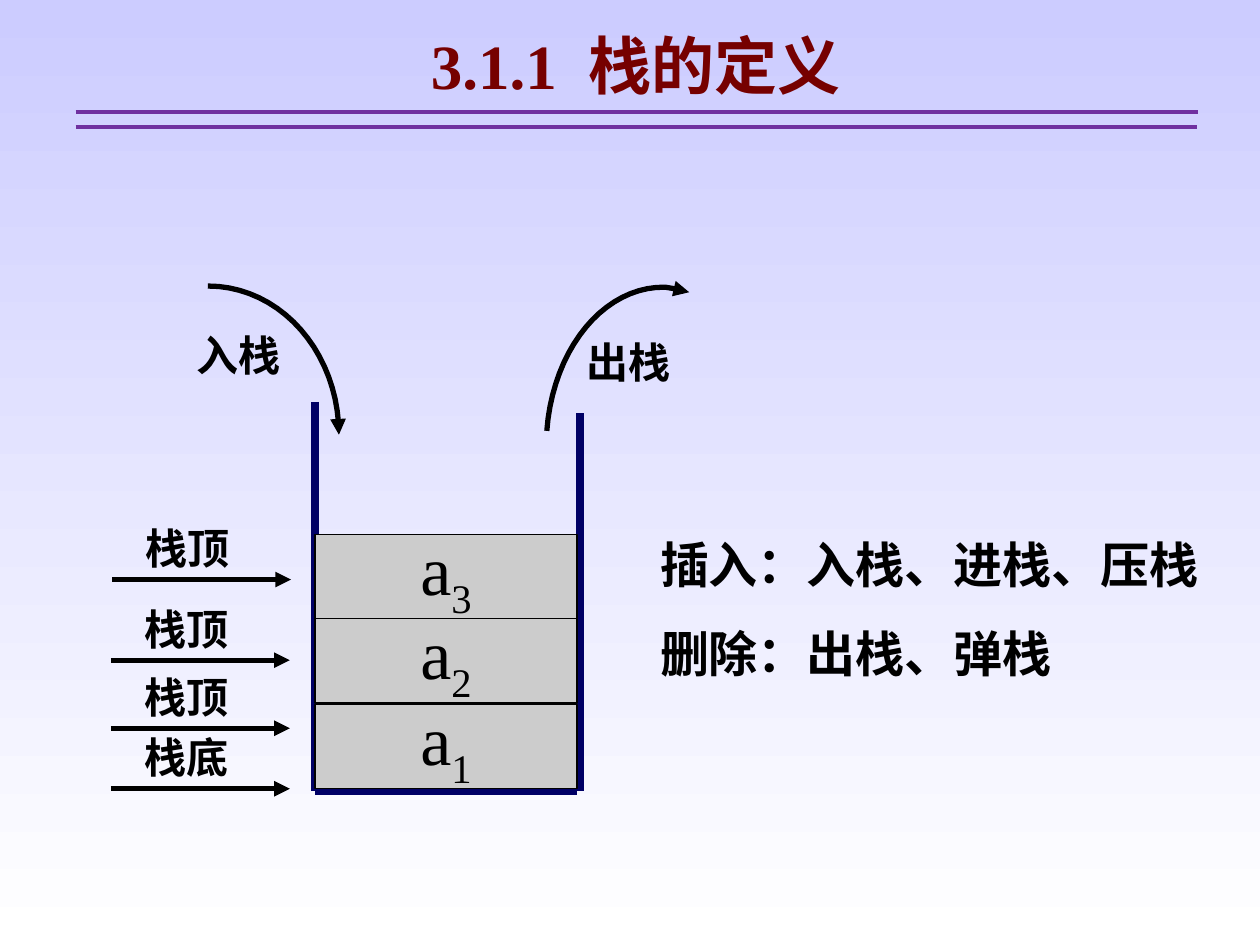
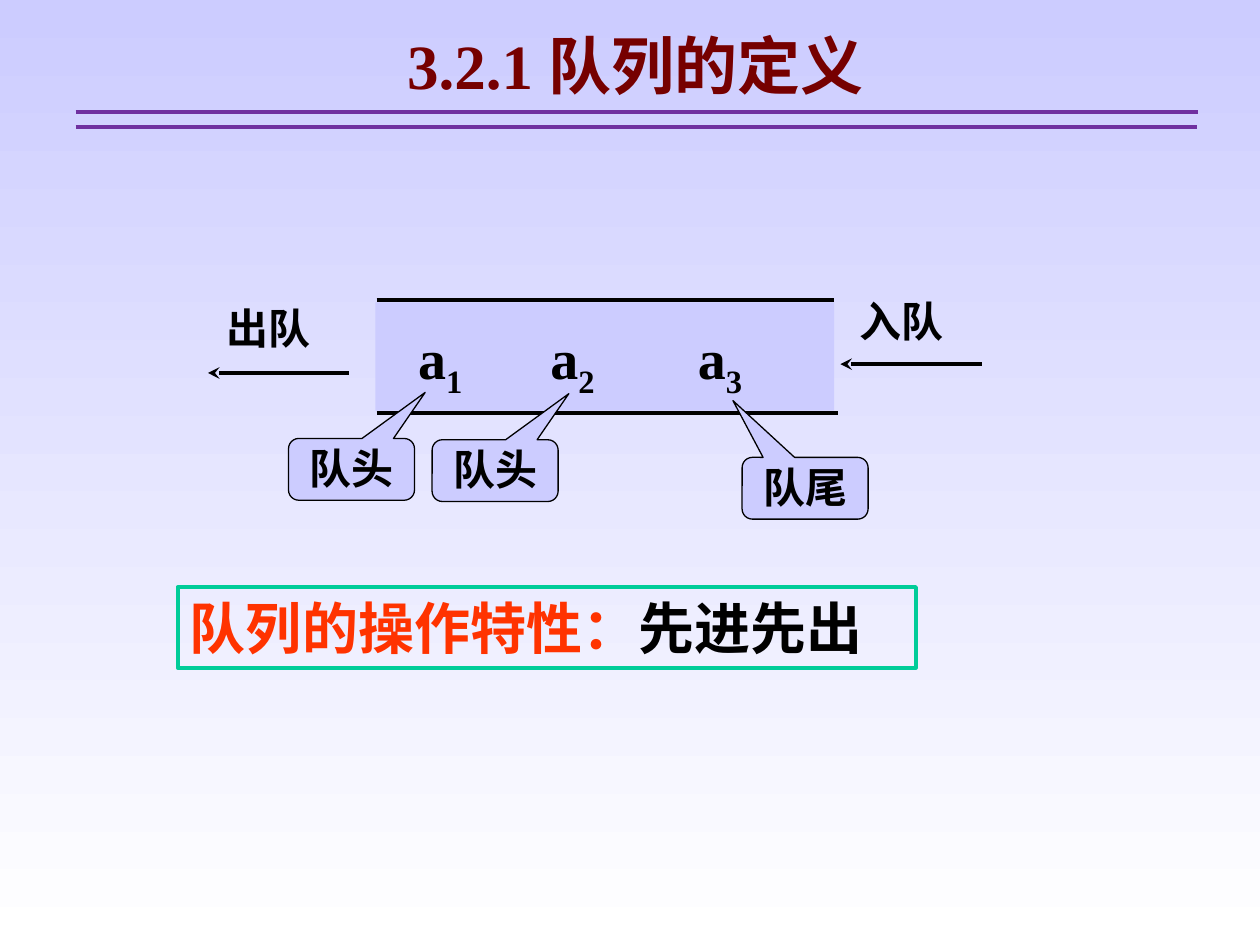
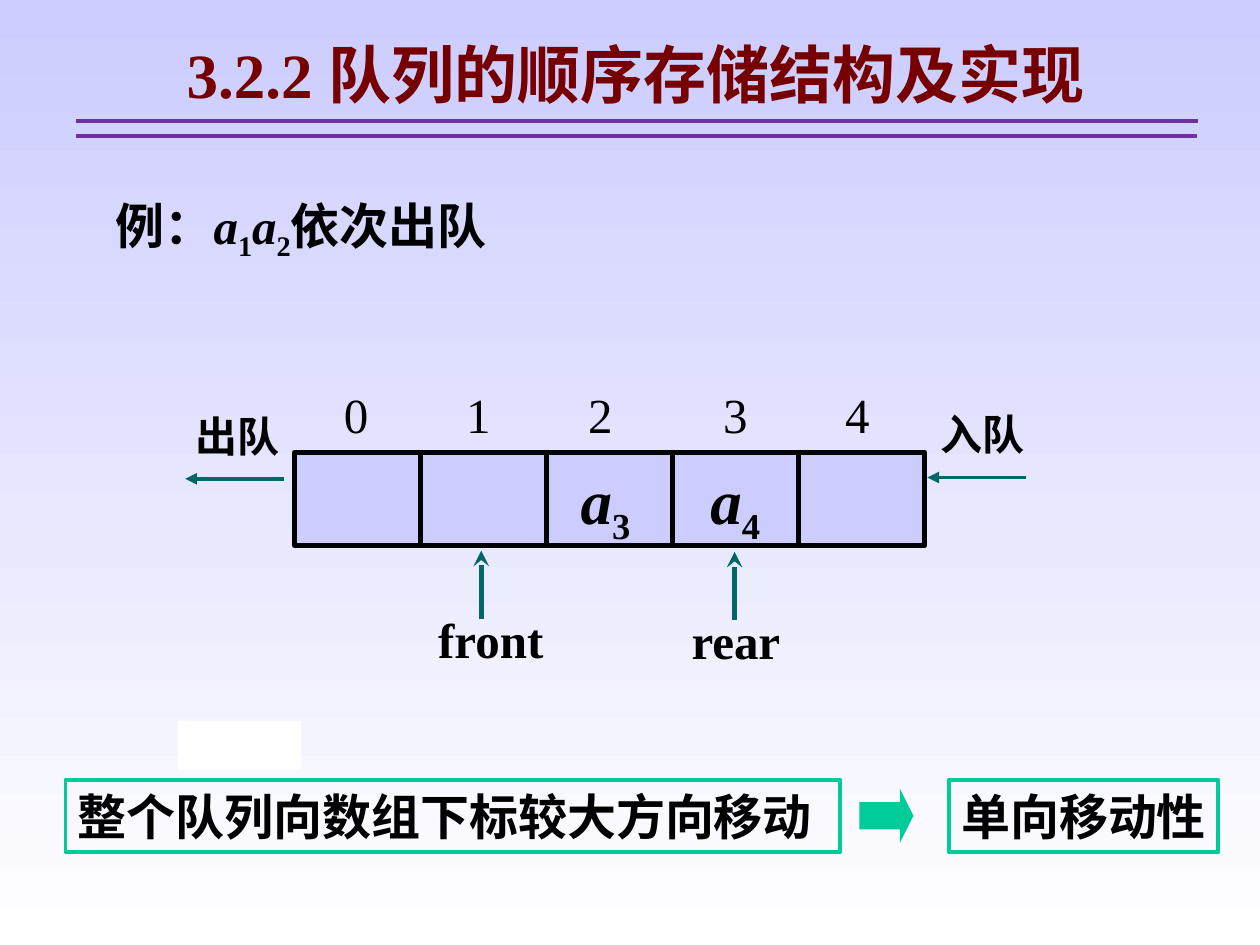
from dataclasses import dataclass, field
from typing import NamedTuple, Optional

from lxml.etree import SubElement
from pptx import Presentation
from pptx.dml.color import RGBColor as Rgb
from pptx.enum.shapes import MSO_CONNECTOR as Conn, MSO_SHAPE as Kind
from pptx.enum.text import MSO_ANCHOR as Anchor, PP_ALIGN as Align
from pptx.oxml.ns import qn
from pptx.util import Inches, Pt

HUE = {
    "sky": "CCCCFF", "white": "FFFFFF", "black": "000000", "navy": "000066",
    "gray": "CCCCCC", "wine": "760000", "plum": "7030A0", "green": "00CC99",
    "red": "FF3300", "teal": "006666",
}
SERIF = "Times New Roman"
PAD = (0.1, 0.05, 0.1, 0.05)


class Box(NamedTuple):
    left: float
    top: float
    width: float
    height: float


class Run(NamedTuple):
    text: str
    form: dict = {}
    hue: str = "black"
    attrs: dict = {}


@dataclass
class Text:
    rows: list
    size: float = 24
    bold: bool = True
    align: Align = Align.LEFT
    anchor: Anchor = Anchor.TOP
    pad: tuple = PAD
    wrap: bool = True
    gap: float = 0
    tabs: list = field(default_factory=list)


class Look(NamedTuple):
    kind: Kind = Kind.RECTANGLE
    fill: Optional[str] = None
    line: Optional[str] = None
    width: float = 0.75
    adj: tuple = ()


class Wire(NamedTuple):
    start: tuple
    end: tuple
    hue: str = "black"
    width: float = 2.25
    head: Optional[str] = None


def rgb(name: str) -> Rgb:
    return Rgb.from_string(HUE[name])


def term(index: int, italic: bool = False) -> list:
    return [Run("a", {"italic": italic}), Run(str(index), attrs={"baseline": "-25000"})]


def write(shape, text: Text) -> None:
    frame = shape.text_frame
    sides = ("margin_left", "margin_top", "margin_right", "margin_bottom")
    form = dict(zip(sides, map(Inches, text.pad)))
    form |= {"word_wrap": text.wrap, "vertical_anchor": text.anchor}
    for name, value in form.items():
        setattr(frame, name, value)
    for i, row in enumerate(text.rows):
        para = frame.add_paragraph() if i else frame.paragraphs[0]
        para.alignment = text.align
        if i:
            para.space_before = Pt(text.gap)
        if text.tabs:
            stops = SubElement(para._p.get_or_add_pPr(), qn("a:tabLst"))
            for stop in text.tabs:
                SubElement(stops, qn("a:tab"), pos=str(Inches(stop)), algn="l")
        for item in row:
            run = para.add_run()
            run.text = item.text
            form = {"name": SERIF, "size": Pt(text.size), "bold": text.bold}
            for name, value in (form | item.form).items():
                setattr(run.font, name, value)
            run.font.color.rgb = rgb(item.hue)
            for name, value in item.attrs.items():
                run._r.get_or_add_rPr().set(name, value)


def label(slide, box: Box, text: Text) -> None:
    write(slide.shapes.add_textbox(*map(Inches, box)), text)


def tag(slide, left: float, top: float, word: str) -> None:
    label(slide, Box(left, top, 1, 0.5), Text([[Run(word)]]))


def block(slide, box: Box, look: Look, text: Optional[Text] = None) -> None:
    shape = slide.shapes.add_shape(look.kind, *map(Inches, box))
    shape.shadow.inherit = False
    for i, value in enumerate(look.adj):
        shape.adjustments[i] = value
    for fill, hue in ((shape.fill, look.fill), (shape.line.fill, look.line)):
        if hue:
            fill.solid()
            fill.fore_color.rgb = rgb(hue)
        else:
            fill.background()
    if look.line:
        shape.line.width = Pt(look.width)
    if text:
        write(shape, text)


def stroke(shape, hue: str, width: float, head: Optional[str]) -> None:
    shape.line.color.rgb = rgb(hue)
    shape.line.width = Pt(width)
    if head:
        SubElement(shape._element.spPr.find(qn("a:ln")), qn("a:tailEnd"), type=head)


def draw(slide, wire: Wire) -> None:
    ends = map(Inches, wire.start + wire.end)
    link = slide.shapes.add_connector(Conn.STRAIGHT, *ends)
    stroke(link, wire.hue, wire.width, wire.head)
    SubElement(link._element.spPr, qn("a:effectLst"))


def bend(slide, knots: list, steps: int = 20) -> None:
    dots = []
    for i in range(0, len(knots) - 1, 3):
        a, b, c, d = knots[i:i + 4]
        for k in range(1, steps + 1):
            t = k / steps
            u = 1 - t
            mix = (u ** 3, 3 * u * u * t, 3 * u * t * t, t ** 3)
            dots.append(tuple(
                Inches(sum(m * p[axis] for m, p in zip(mix, (a, b, c, d))))
                for axis in (0, 1)))
    pen = slide.shapes.build_freeform(*map(Inches, knots[0]))
    pen.add_line_segments(dots, close=False)
    curve = pen.convert_to_shape()
    curve.shadow.inherit = False
    curve.fill.background()
    stroke(curve, "black", 3, "triangle")


def start(deck, title: list, top: float = 0.16):
    slide = deck.slides.add_slide(deck.slide_layouts[6])
    fill = slide.background.fill
    fill.gradient()
    fill.gradient_angle = 270
    for stop, hue, place in zip(fill.gradient_stops, ("sky", "white"), (0, 1)):
        stop.color.rgb = rgb(hue)
        stop.position = place
    label(slide, Box(0.66, top, 8.77, 0.7), Text([title], 36, align=Align.CENTER))
    for drop, right in ((0.73, 9.51), (0.85, 9.5)):
        draw(slide, Wire((0.6, top + drop), (right, top + drop), "plum"))
    return slide


def stack(deck) -> None:
    slide = start(deck, [
        Run("3.1.1", hue="wine"),
        Run(" ", hue="wine", attrs={"spc": "900"}),
        Run("栈的定义", {"name": "Noto Sans CJK SC"}, "wine"),
    ])
    walls = (((2.5, 3.19), (2.5, 6.28)), ((2.5, 6.28), (4.58, 6.28)),
             ((4.6, 3.28), (4.6, 6.28)))
    for wall in walls:
        draw(slide, Wire(*wall, "navy", 4.5))
    for i in (1, 2, 3):
        text = Text([term(i)], 40, False, Align.CENTER, Anchor.MIDDLE, (0.1, 0, 0.1, 0.05))
        block(slide, Box(2.5, 6.26 - 0.67 * i - 0.01 * (i > 1), 2.08, 0.67),
              Look(fill="gray", line="black"), text)
    bend(slide, [(1.65, 2.27), (2.23, 2.27), (2.69, 2.8), (2.69, 3.45)])
    bend(slide, [(4.34, 3.42), (4.39, 2.76), (4.8, 2.27), (5.28, 2.28),
                 (5.34, 2.29), (5.41, 2.3), (5.47, 2.32)])
    tag(slide, 1.46, 2.57, "入栈")
    tag(slide, 4.56, 2.62, "出栈")
    marks = ((0.89, 4.6, "栈顶"), (0.88, 5.24, "栈顶"),
             (0.88, 5.78, "栈顶"), (0.88, 6.26, "栈底"))
    for left, level, word in marks:
        draw(slide, Wire((left, level), (left + 1.42, level), width=3, head="triangle"))
        tag(slide, left + 0.17, level - 0.5, word)
    lines = ("插入：入栈、进栈、压栈", "删除：出栈、弹栈")
    label(slide, Box(5.14, 4.19, 4.51, 1.28),
          Text([[Run(line)] for line in lines], 28, gap=17.5))


def queue(deck) -> None:
    slide = start(deck, [Run("3.2.1 队列的定义", hue="wine")])
    for level, right in ((2.38, 6.62), (3.28, 6.65)):
        draw(slide, Wire((2.99, level), (right, level)))
    block(slide, Box(2.98, 2.4, 3.64, 0.86), Look(fill="sky"))
    rule = Text([[Run("队列的操作特性：", hue="red"), Run("先进先出")]], 32)
    block(slide, Box(1.41, 4.66, 5.86, 0.64), Look(line="green", width=2.25), rule)
    for i, left in enumerate((3.22, 4.27, 5.44), 1):
        label(slide, Box(left, 2.52, 0.55, 0.71), Text([term(i)], 32, wrap=False))
    for left, level in ((6.67, 2.89), (1.65, 2.96)):
        draw(slide, Wire((left + 1.12, level), (left, level), head="stealth"))
    tag(slide, 6.72, 2.3, "入队")
    tag(slide, 1.7, 2.35, "出队")
    front, rear = (0.585, -1.246, 0.167), (-0.573, -1.419, 0.167)
    notes = ((5.89, 3.63, "队尾", rear), (2.29, 3.48, "队头", front),
             (3.43, 3.49, "队头", front))
    for left, top, word, adj in notes:
        look = Look(Kind.ROUNDED_RECTANGULAR_CALLOUT, "sky", "black", adj=adj)
        block(slide, Box(left, top, 1, 0.49), look,
              Text([[Run(word)]], align=Align.CENTER, pad=(0, 0.01, 0, 0.05)))


def array(deck) -> None:
    slide = start(deck, [Run("3.2.2 队列的顺序存储结构及实现", hue="wine")], 0.23)
    case = [Run("例："), *term(1, True), *term(2, True), Run("依次出队")]
    label(slide, Box(0.82, 1.5, 3.69, 0.63), Text([case], 28))
    for i in range(5):
        block(slide, Box(2.34 + i, 3.59, 1, 0.74), Look(fill="sky", line="black", width=3))
    label(slide, Box(2.63, 3, 4.68, 0.57),
          Text([[Run("0\t1\t2\t3\t4")]], 28, False, tabs=[0.97, 1.94, 3.01, 3.98]))
    for left, level in ((7.36, 3.79), (1.47, 3.8)):
        draw(slide, Wire((left + 0.78, level), (left, level), "teal", head="triangle"))
    tag(slide, 7.37, 3.19, "入队")
    tag(slide, 1.45, 3.21, "出队")
    for i, left in ((3, 4.51), (4, 5.54)):
        label(slide, Box(left, 3.61, 0.64, 0.79), Text([term(i, True)], 36, wrap=False))
    for word, left, top in (("rear", 5.39, 4.8), ("front", 3.38, 4.79)):
        mid = left + 0.44
        draw(slide, Wire((mid, top + 0.12), (mid, top - 0.42), "teal", 3, "stealth"))
        label(slide, Box(left, top, 1.1, 0.57), Text([[Run(word)]], 28))
    block(slide, Box(1.41, 5.72, 0.98, 0.39), Look(fill="white"))
    frame = Look(line="green", width=2.25)
    block(slide, Box(0.52, 6.19, 6.15, 0.57), frame,
          Text([[Run("整个队列向数组下标较大方向移动")]], 28))
    block(slide, Box(7.53, 6.19, 2.14, 0.57), frame,
          Text([[Run("单向移动性", {"name": "Arial"})]], 28, align=Align.CENTER, wrap=False))
    block(slide, Box(6.82, 6.26, 0.43, 0.43),
          Look(Kind.RIGHT_ARROW, "green", adj=(0.5, 0.25)))


def main() -> None:
    deck = Presentation()
    deck.slide_width, deck.slide_height = Inches(10), Inches(7.5)
    for build in (stack, queue, array):
        build(deck)
    deck.save("out.pptx")


if __name__ == "__main__":
    main()
